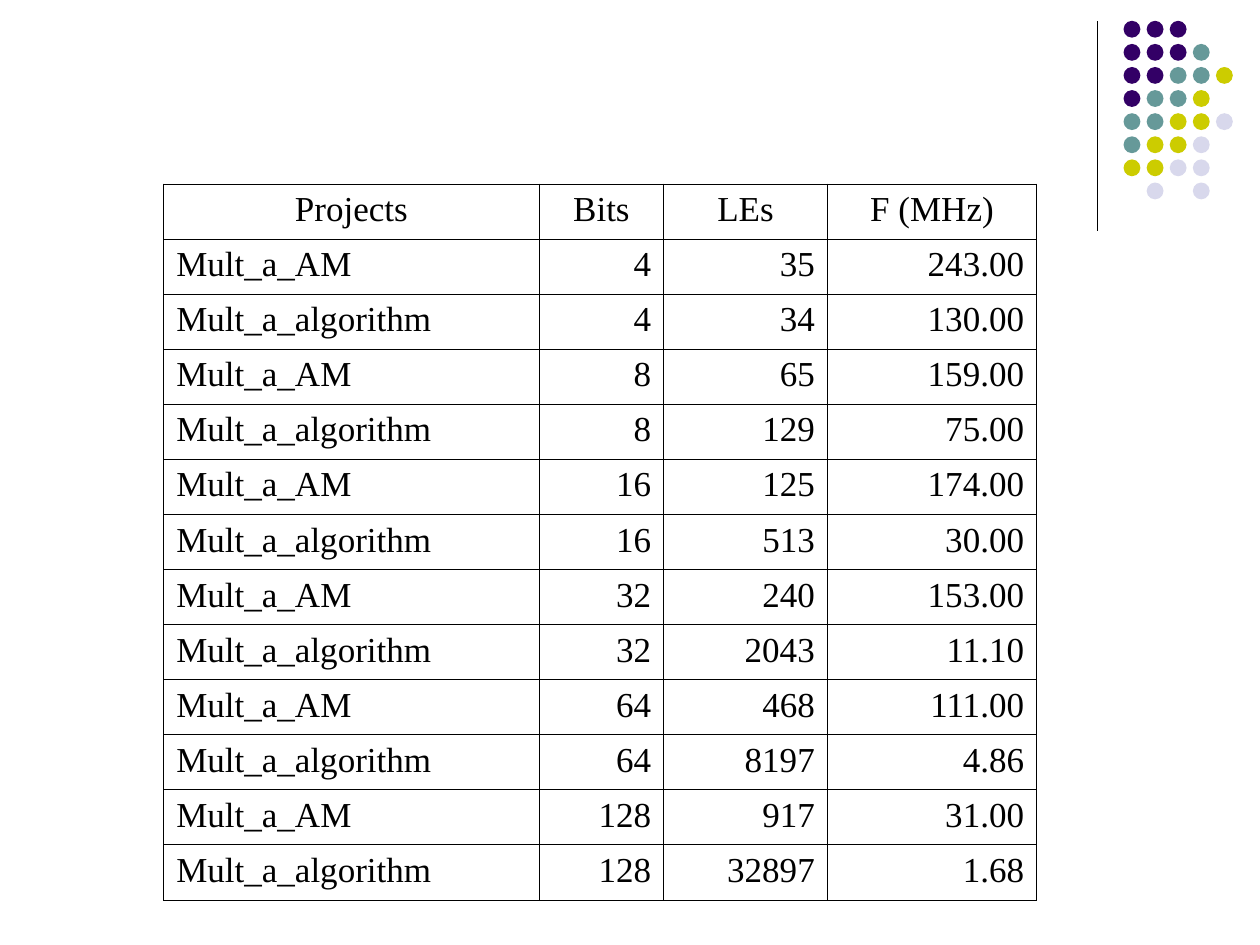
from dataclasses import dataclass

from lxml import etree
from pptx import Presentation
from pptx.dml.color import RGBColor
from pptx.enum.shapes import MSO_CONNECTOR, MSO_SHAPE
from pptx.enum.text import PP_ALIGN
from pptx.oxml import parse_xml
from pptx.oxml.ns import nsdecls, qn
from pptx.util import Cm, Pt

LEFT, CENTER, RIGHT = PP_ALIGN.LEFT, PP_ALIGN.CENTER, PP_ALIGN.RIGHT
OVAL, STRAIGHT = MSO_SHAPE.OVAL, MSO_CONNECTOR.STRAIGHT


@dataclass(frozen=True)
class Theme:
    font: str = "Times New Roman"
    size: float = 20
    ink: str = "000000"
    purple: str = "330066"
    teal: str = "669999"
    lime: str = "CCCC00"
    lilac: str = "D8D8EC"
    rule: float = 0.75
    border: float = 0.45


theme = Theme()


def set_borders(cell):
    """Draw a thin solid line on all four sides of a cell."""
    tc_pr = cell._tc.get_or_add_tcPr()
    for i, side in enumerate(("lnL", "lnR", "lnT", "lnB")):
        tc_pr.insert(i, parse_xml(
            f'<a:{side} {nsdecls("a")} w="{Pt(theme.border)}"><a:solidFill>'
            f'<a:srgbClr val="{theme.ink}"/></a:solidFill></a:{side}>'))


prs = Presentation()
prs.slide_width, prs.slide_height = Cm(25.4), Cm(19.05)
s = prs.slides.add_slide(prs.slide_layouts[6])

# Vertical rule beside the dots
rule = s.shapes.add_connector(STRAIGHT, Cm(22.12), Cm(0.43), Cm(22.12), Cm(4.65))
rule.line.color.rgb = RGBColor.from_string(theme.ink)
rule.line.width = Pt(theme.rule)
etree.SubElement(rule._element.spPr, qn("a:effectLst"))

# Dot pattern: one letter per dot, a space where there is none
dot_colors = {"P": theme.purple, "T": theme.teal, "Y": theme.lime, "L": theme.lilac}
dot_rows = ["PPP", "PPPT", "PPTTY", "PTTY", "TTYYL", "TYYL", "YYLL", " L L"]
pitch = 3.26 / (len(dot_rows) - 1)
dots = s.shapes.add_group_shape()
for row, letters in enumerate(dot_rows):
    for col, letter in enumerate(letters):
        if letter in dot_colors:
            dot = dots.shapes.add_shape(OVAL, Cm(22.65 + col * pitch),
                                        Cm(0.42 + row * pitch), Cm(0.34), Cm(0.34))
            dot.shadow.inherit = False
            dot.fill.solid()
            dot.fill.fore_color.rgb = RGBColor.from_string(dot_colors[letter])
            dot.line.fill.background()

# Results table: the two projects alternate at each bit width
header = ("Projects", "Bits", "LEs", "F (MHz)")
results = [
    ("Mult_a_AM", "4", "35", "243.00"),
    ("Mult_a_algorithm", "4", "34", "130.00"),
    ("Mult_a_AM", "8", "65", "159.00"),
    ("Mult_a_algorithm", "8", "129", "75.00"),
    ("Mult_a_AM", "16", "125", "174.00"),
    ("Mult_a_algorithm", "16", "513", "30.00"),
    ("Mult_a_AM", "32", "240", "153.00"),
    ("Mult_a_algorithm", "32", "2043", "11.10"),
    ("Mult_a_AM", "64", "468", "111.00"),
    ("Mult_a_algorithm", "64", "8197", "4.86"),
    ("Mult_a_AM", "128", "917", "31.00"),
    ("Mult_a_algorithm", "128", "32897", "1.68"),
]
rows = [header] + results
col_widths = (7.57, 2.51, 3.3, 4.22)
row_height = 1.11
table = s.shapes.add_table(len(rows), len(header), Cm(3.3), Cm(3.71),
                           Cm(sum(col_widths)), Cm(row_height * len(rows))).table
table.horz_banding = False
for column, width in zip(table.columns, col_widths):
    column.width = Cm(width)
for i, values in enumerate(rows):
    table.rows[i].height = Cm(row_height)
    for j, value in enumerate(values):
        cell = table.cell(i, j)
        cell.fill.background()
        set_borders(cell)
        p = cell.text_frame.paragraphs[0]
        p.text = value
        p.alignment = CENTER if i == 0 else LEFT if j == 0 else RIGHT
        font = p.runs[0].font
        font.name, font.size, font.bold = theme.font, Pt(theme.size), False
        font.color.rgb = RGBColor.from_string(theme.ink)

prs.save("out.pptx")
